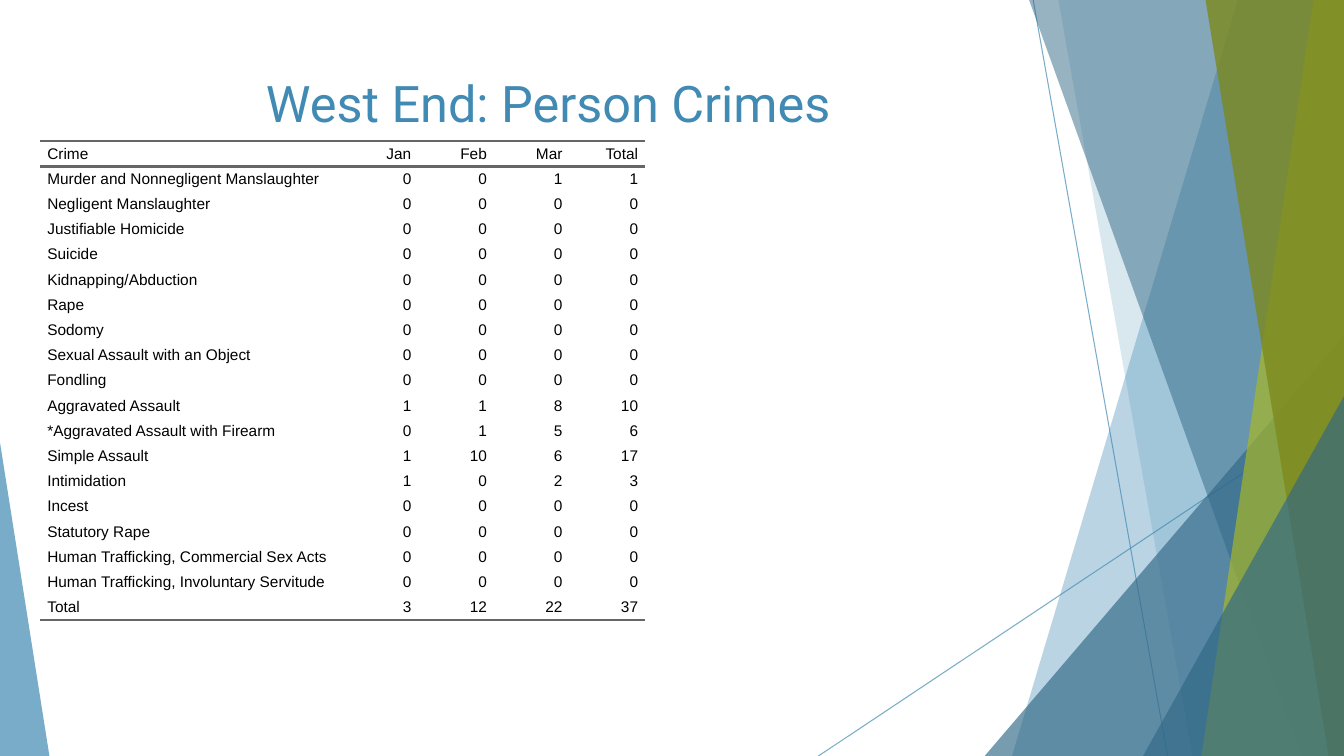
from lxml.etree import SubElement
from pptx import Presentation
from pptx.dml.color import RGBColor
from pptx.enum.shapes import MSO_CONNECTOR, MSO_SHAPE
from pptx.enum.text import MSO_ANCHOR, PP_ALIGN
from pptx.oxml.ns import qn
from pptx.util import Pt

WIDTH, HEIGHT = 960, 540
BLUE, DARK_BLUE, GREEN, OLIVE = "418AB3", "316886", "A6B727", "7D891D"
BLACK, GREY = "000000", "666666"

TITLE = "West End: Person Crimes"
CRIMES = [
    ("Crime", "Jan", "Feb", "Mar", "Total"),
    ("Murder and Nonnegligent Manslaughter", 0, 0, 1, 1),
    ("Negligent Manslaughter", 0, 0, 0, 0),
    ("Justifiable Homicide", 0, 0, 0, 0),
    ("Suicide", 0, 0, 0, 0),
    ("Kidnapping/Abduction", 0, 0, 0, 0),
    ("Rape", 0, 0, 0, 0),
    ("Sodomy", 0, 0, 0, 0),
    ("Sexual Assault with an Object", 0, 0, 0, 0),
    ("Fondling", 0, 0, 0, 0),
    ("Aggravated Assault", 1, 1, 8, 10),
    ("*Aggravated Assault with Firearm", 0, 1, 5, 6),
    ("Simple Assault", 1, 10, 6, 17),
    ("Intimidation", 1, 0, 2, 3),
    ("Incest", 0, 0, 0, 0),
    ("Statutory Rape", 0, 0, 0, 0),
    ("Human Trafficking, Commercial Sex Acts", 0, 0, 0, 0),
    ("Human Trafficking, Involuntary Servitude", 0, 0, 0, 0),
    ("Total", 3, 12, 22, 37),
]
COLUMN_WIDTHS = [216, 54, 54, 54, 54]
ROW_HEIGHT = 18
NO_STYLE_NO_GRID = "{2D5ABB26-0587-4C30-8999-92F81FD0307C}"

# Start x, start y, end x, end y
HAIRLINES = [(738, 0, 834, HEIGHT), (WIDTH, 290, 584.6, HEIGHT)]
# Bands: x at the top, x at the bottom; triangles: left, top, width, apex
DECORATIONS = [
    ("band", (884.2, 722.9), BLUE, 36),
    ("band", (756, 851.8), BLUE, 20),
    ("triangle", (703.4, 239.8, 256.6, 1), DARK_BLUE, 66),
    ("band", (735.1, 929.5), DARK_BLUE, 50),
    ("band", (938.2, 858.2), GREEN, 70),
    ("band", (861.1, 949), OLIVE, 80),
    ("triangle", (816.5, 283, 143.5, 1), DARK_BLUE, 66),
    ("triangle", (0, 316.1, 35.3, 0), BLUE, 70),
]


def color(value):
    return RGBColor.from_string(value)


def set_opacity(element, percent):
    """Make the solid colour inside an element partly transparent."""
    rgb = next(element.iter(qn("a:srgbClr")))
    SubElement(rgb, qn("a:alpha")).set("val", str(percent * 1000))


def add_hairline(slide, ends):
    line = slide.shapes.add_connector(MSO_CONNECTOR.STRAIGHT, *map(Pt, ends))
    line.line.width = Pt(0.75)
    line.line.color.rgb = color(BLUE)
    properties = line._element.spPr
    set_opacity(properties, 70)
    SubElement(properties, qn("a:effectLst"))


def add_band(slide, top_x, bottom_x):
    """Draw an area from a slanted left side to the right slide edge."""
    corners = [(WIDTH, 0), (WIDTH, HEIGHT), (bottom_x, HEIGHT)]
    builder = slide.shapes.build_freeform(Pt(top_x), Pt(0))
    builder.add_line_segments([(Pt(x), Pt(y)) for x, y in corners], close=True)
    return builder.convert_to_shape()


def add_triangle(slide, left, top, width, apex):
    """Draw a triangle that stands on the bottom slide edge."""
    box = map(Pt, (left, top, width, HEIGHT - top))
    shape = slide.shapes.add_shape(MSO_SHAPE.ISOSCELES_TRIANGLE, *box)
    shape.adjustments[0] = apex
    return shape


def add_decoration(slide, kind, geometry, fill, opacity):
    draw = add_band if kind == "band" else add_triangle
    shape = draw(slide, *geometry)
    shape.shadow.inherit = False
    shape.fill.solid()
    shape.fill.fore_color.rgb = color(fill)
    set_opacity(shape._element.spPr, opacity)
    shape.line.fill.background()


def write(paragraph, text, font, size, ink, alignment):
    paragraph.alignment = alignment
    run = paragraph.add_run()
    run.text = text
    run.font.name = font
    run.font.size = Pt(size)
    run.font.color.rgb = color(ink)


def add_border(cell, side):
    line = SubElement(cell._tc.get_or_add_tcPr(), qn(f"a:{side}"), w=str(Pt(2)))
    fill = SubElement(line, qn("a:solidFill"))
    SubElement(fill, qn("a:srgbClr"), val=GREY)


def fill_cell(cell, text, alignment, sides):
    cell.margin_left = cell.margin_right = cell.margin_top = cell.margin_bottom = 0
    cell.vertical_anchor = MSO_ANCHOR.MIDDLE
    for side in sides:
        add_border(cell, side)
    cell.fill.background()
    paragraph = cell.text_frame.paragraphs[0]
    indents = paragraph._p.get_or_add_pPr()
    for side in ("marL", "marR"):
        indents.set(side, str(Pt(5)))
    write(paragraph, text, "Arial", 11, BLACK, alignment)


def add_crime_table(slide):
    row_count = len(CRIMES)
    box = map(Pt, (28.8, 100.8, sum(COLUMN_WIDTHS), ROW_HEIGHT * row_count))
    table = slide.shapes.add_table(row_count, len(COLUMN_WIDTHS), *box).table
    table.first_row = table.horz_banding = False
    table._tbl.tblPr.find(qn("a:tableStyleId")).text = NO_STYLE_NO_GRID
    for column, width in zip(table.columns, COLUMN_WIDTHS):
        column.width = Pt(width)
    borders = {0: ("lnT", "lnB"), row_count - 1: ("lnB",)}
    for row_index, values in enumerate(CRIMES):
        table.rows[row_index].height = Pt(ROW_HEIGHT)
        for column_index, value in enumerate(values):
            alignment = PP_ALIGN.RIGHT if column_index else PP_ALIGN.LEFT
            cell = table.cell(row_index, column_index)
            fill_cell(cell, str(value), alignment, borders.get(row_index, ()))


def add_title(slide):
    box = slide.shapes.add_textbox(Pt(53.3), Pt(48.2), Pt(676.8), Pt(103.7))
    frame = box.text_frame
    frame.word_wrap = True
    frame.vertical_anchor = MSO_ANCHOR.TOP
    write(frame.paragraphs[0], TITLE, "Roboto", 36, BLUE, PP_ALIGN.CENTER)


def main():
    presentation = Presentation()
    presentation.slide_width, presentation.slide_height = Pt(WIDTH), Pt(HEIGHT)
    slide = presentation.slides.add_slide(presentation.slide_layouts[6])
    for ends in HAIRLINES:
        add_hairline(slide, ends)
    for decoration in DECORATIONS:
        add_decoration(slide, *decoration)
    add_crime_table(slide)
    add_title(slide)
    presentation.save("out.pptx")


if __name__ == "__main__":
    main()
